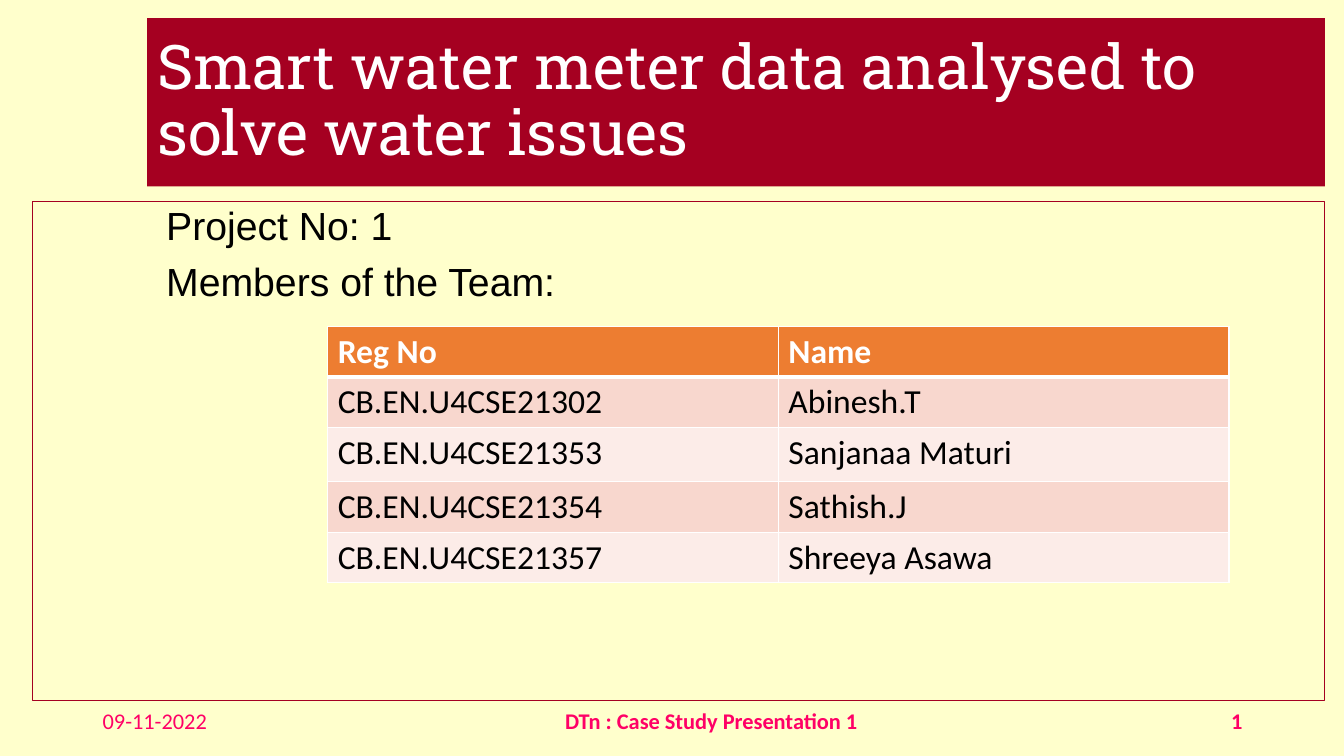
from lxml.etree import SubElement
from pptx import Presentation
from pptx.dml.color import RGBColor
from pptx.enum.shapes import MSO_SHAPE
from pptx.enum.text import MSO_ANCHOR, MSO_AUTO_SIZE, PP_ALIGN
from pptx.oxml.ns import qn
from pptx.util import Inches, Pt

CRIMSON, PINK, WHITE, BLACK = "A50021", "FF0066", "FFFFFF", "000000"
HEADER_FILL, BAND_FILLS = "ED7D31", ("F8D7CE", "FCECE8")
MEMBERS = [
    ("Reg No", "Name"),
    ("CB.EN.U4CSE21302", "Abinesh.T"),
    ("CB.EN.U4CSE21353", "Sanjanaa Maturi"),
    ("CB.EN.U4CSE21354", "Sathish.J"),
    ("CB.EN.U4CSE21357", "Shreeya Asawa"),
]
ROW_HEIGHTS = (0.46, 0.46, 0.54, 0.46, 0.46)


def rgb(color):
    return RGBColor.from_string(color)


def paint(fill, color):
    fill.solid()
    fill.fore_color.rgb = rgb(color)


def add_text(p, text, size, font, color, bold=False, align=PP_ALIGN.LEFT):
    p.alignment = align
    r = p.add_run()
    r.text = text
    r.font.size = Pt(size)
    r.font.name = font
    r.font.bold = bold
    r.font.color.rgb = rgb(color)


def add_title(s, text):
    title = s.shapes.title
    title.left, title.top = Inches(1.46), Inches(0.18)
    title.width, title.height = Inches(11.68), Inches(1.67)
    paint(title.fill, CRIMSON)
    tf = title.text_frame
    tf.auto_size = MSO_AUTO_SIZE.NONE
    tf.vertical_anchor = MSO_ANCHOR.MIDDLE
    p = tf.paragraphs[0]
    p.line_spacing = 0.9
    add_text(p, text, 44, "Roboto Slab", WHITE)


def add_body(s, lines):
    body = s.shapes.add_shape(MSO_SHAPE.RECTANGLE, Inches(0.32), Inches(2),
                              Inches(12.82), Inches(4.95))
    body.shadow.inherit = False
    body.fill.background()
    body.line.color.rgb = rgb(CRIMSON)
    body.line.width = Pt(0.75)
    tf = body.text_frame
    tf.word_wrap = True
    tf.vertical_anchor = MSO_ANCHOR.TOP
    for i, line in enumerate(lines):
        p = tf.add_paragraph() if i else tf.paragraphs[0]
        p.line_spacing = 0.9
        p.space_before = Pt(10)
        p._p.get_or_add_pPr().set("marL", str(Inches(1.23)))
        add_text(p, line, 28, "Arial", BLACK)


def add_footer(s, left, width, text, align, bold=True):
    box = s.shapes.add_textbox(Inches(left), Inches(6.95), Inches(width), Inches(0.4))
    tf = box.text_frame
    tf.word_wrap = True
    tf.vertical_anchor = MSO_ANCHOR.MIDDLE
    add_text(tf.paragraphs[0], text, 16, "Calibri", PINK, bold, align)


def set_borders(cell, widths):
    tcPr = cell._tc.get_or_add_tcPr()
    for side, width in zip("LRTB", widths):
        ln = SubElement(tcPr, qn(f"a:ln{side}"), w=str(Pt(width)))
        fill = SubElement(ln, qn("a:solidFill"))
        SubElement(fill, qn("a:srgbClr"), val=WHITE)


def add_members_table(s):
    table = s.shapes.add_table(len(MEMBERS), 2, Inches(3.25), Inches(3.24),
                               Inches(8.94), Inches(sum(ROW_HEIGHTS))).table
    for i, (member, height) in enumerate(zip(MEMBERS, ROW_HEIGHTS)):
        table.rows[i].height = Inches(height)
        header = i == 0
        for j, text in enumerate(member):
            cell = table.cell(i, j)
            # The heavy rule under the header is shared with the first row
            set_borders(cell, (1, 1, 3 if i == 1 else 1, 3 if header else 1))
            paint(cell.fill, HEADER_FILL if header else BAND_FILLS[(i - 1) % 2])
            add_text(cell.text_frame.paragraphs[0], text, 24, "Calibri",
                     WHITE if header else BLACK, header)


def main():
    prs = Presentation()
    prs.slide_width, prs.slide_height = Inches(13.33), Inches(7.5)
    s = prs.slides.add_slide(prs.slide_layouts[5])
    paint(s.background.fill, "FFFFCC")

    # Title and framed body
    add_title(s, "Smart water meter data analysed to solve water issues")
    add_body(s, ["Project No: 1", "Members of the Team:"])

    # Footer: date, page number, course
    add_footer(s, 0.92, 3, "09-11-2022", PP_ALIGN.LEFT, bold=False)
    add_footer(s, 9.42, 3, "1", PP_ALIGN.RIGHT)
    add_footer(s, 4.42, 5.27, "DTn : Case Study Presentation 1", PP_ALIGN.CENTER)

    # Team members
    add_members_table(s)
    prs.save("out.pptx")


if __name__ == "__main__":
    main()
